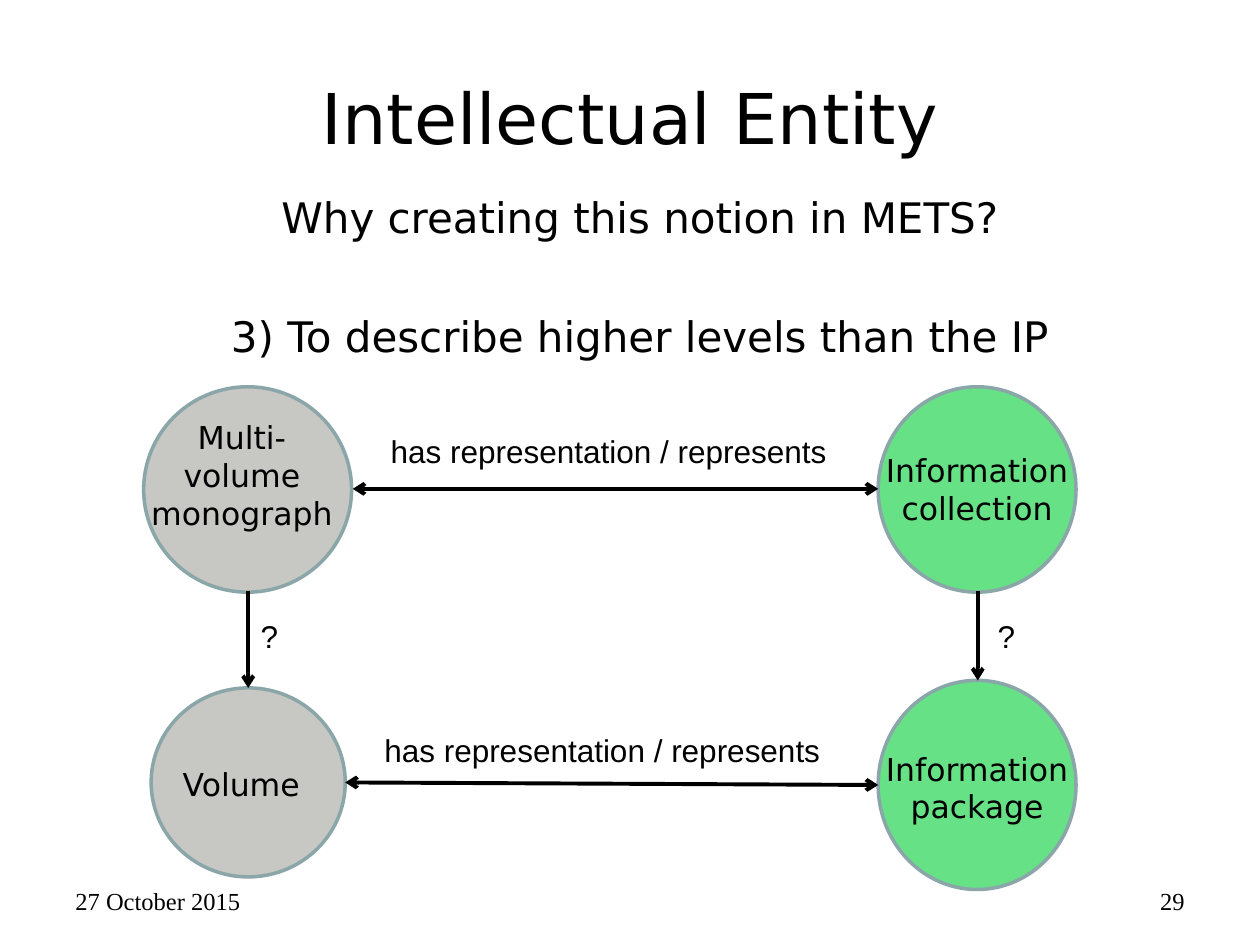
"""Build the Intellectual Entity slide: two entities linked to their representations."""
import pptx
import pptx.chart
import pptx.dml.color
import pptx.enum.shapes
import pptx.enum.text
import pptx.oxml
import pptx.oxml.ns
import pptx.util
from dataclasses import dataclass

Inches = pptx.util.Inches
Pt = pptx.util.Pt
RGB = pptx.dml.color.RGBColor.from_string
ALIGN = pptx.enum.text.PP_ALIGN
ANCHOR = pptx.enum.text.MSO_ANCHOR


@dataclass(frozen=True)
class Theme:
    ink: str = "000000"
    gray: str = "C7C7C4"
    green: str = "66E186"
    outline: str = "8AA6A8"
    main: str = "DejaVu Sans"
    label: str = "Arial"
    footer: str = "Times New Roman"
    title_size: int = 40
    body_size: int = 24
    label_size: int = 18
    footer_size: int = 14


theme = Theme()
prs = pptx.Presentation()
prs.slide_width, prs.slide_height = Inches(10), Inches(7.5)
s = prs.slides.add_slide(prs.slide_layouts[6])


def add_text(box, paragraphs, font, size, align=ALIGN.CENTER, anchor=ANCHOR.TOP, wrap=True, gap=0):
    tf = s.shapes.add_textbox(*map(Inches, box)).text_frame
    tf.word_wrap = wrap
    tf.vertical_anchor = anchor
    for i, text in enumerate(paragraphs):
        p = tf.add_paragraph() if i else tf.paragraphs[0]
        p.alignment = align
        if i:
            p.space_before = Pt(gap)
        r = p.add_run()
        r.text = text
        r.font.name = font
        r.font.size = Pt(size)
        r.font.color.rgb = RGB(theme.ink)


def add_arrow(start, end, both_ends):
    sp = s.shapes.add_connector(pptx.enum.shapes.MSO_CONNECTOR.STRAIGHT, *map(Inches, start + end))
    sp.line.color.rgb = RGB(theme.ink)
    sp.line.width = Pt(2.25)
    ln = sp.line._get_or_add_ln()
    for tag in ("a:headEnd", "a:tailEnd") if both_ends else ("a:tailEnd",):
        ln.append(pptx.oxml.parse_xml(f'<{tag} {pptx.oxml.ns.nsdecls("a")} type="arrow"/>'))
    ln.addnext(pptx.oxml.parse_xml(f'<a:effectLst {pptx.oxml.ns.nsdecls("a")}/>'))


add_text((0.5, 6.98, 1.66, 0.37), ["27 October 2015"], theme.footer, theme.footer_size, ALIGN.LEFT)
add_text((8.54, 6.98, 0.96, 0.37), ["29"], theme.footer, theme.footer_size, ALIGN.RIGHT)
add_text((0.5, 0.3, 9, 1.25), ["Intellectual Entity"], theme.main, theme.title_size, anchor=ANCHOR.MIDDLE)
add_text((0.58, 1.47, 9, 0.58),
         ["Why creating this notion in METS?", "3) To describe higher levels than the IP"],
         theme.main, theme.body_size, gap=39)

circles = [
    ((1.14, 3.07, 1.65, 1.63), theme.gray, (1.02, 3.27, 1.8, 1.01), ["Multi-", "volume monograph"]),
    ((6.97, 3.07, 1.57, 1.63), theme.green, (6.75, 3.53, 2.01, 0.71), ["Information collection"]),
    ((1.2, 5.46, 1.54, 1.5), theme.gray, (0.91, 6.02, 2.01, 0.4), ["Volume"]),
    ((6.97, 5.4, 1.57, 1.66), theme.green, (6.86, 5.9, 1.79, 0.74), ["Information package"]),
]
for oval, fill, text_box, paragraphs in circles:
    sp = s.shapes.add_shape(pptx.enum.shapes.MSO_SHAPE.OVAL, *map(Inches, oval))
    sp.shadow.inherit = False
    sp.fill.solid()
    sp.fill.fore_color.rgb = RGB(fill)
    sp.line.color.rgb = RGB(theme.outline)
    sp.line.width = Pt(2)
    add_text(text_box, paragraphs, theme.main, theme.label_size)

for start, end, left, top in [((6.97, 3.88), (2.8, 3.88), 2.92, 3.38),
                              ((6.97, 6.23), (2.74, 6.21), 2.87, 5.75)]:
    add_arrow(start, end, True)
    add_text((left, top, 3.82, 0.4), ["has representation / represents"], theme.label, theme.label_size)

for x, bottom, left in [(1.97, 5.46, 1.97), (7.76, 5.4, 7.82)]:
    add_arrow((x, 4.69), (x, bottom), False)
    add_text((left, 4.85, 0.34, 0.4), ["?"], theme.label, theme.label_size, ALIGN.LEFT, wrap=False)

prs.save("out.pptx")
